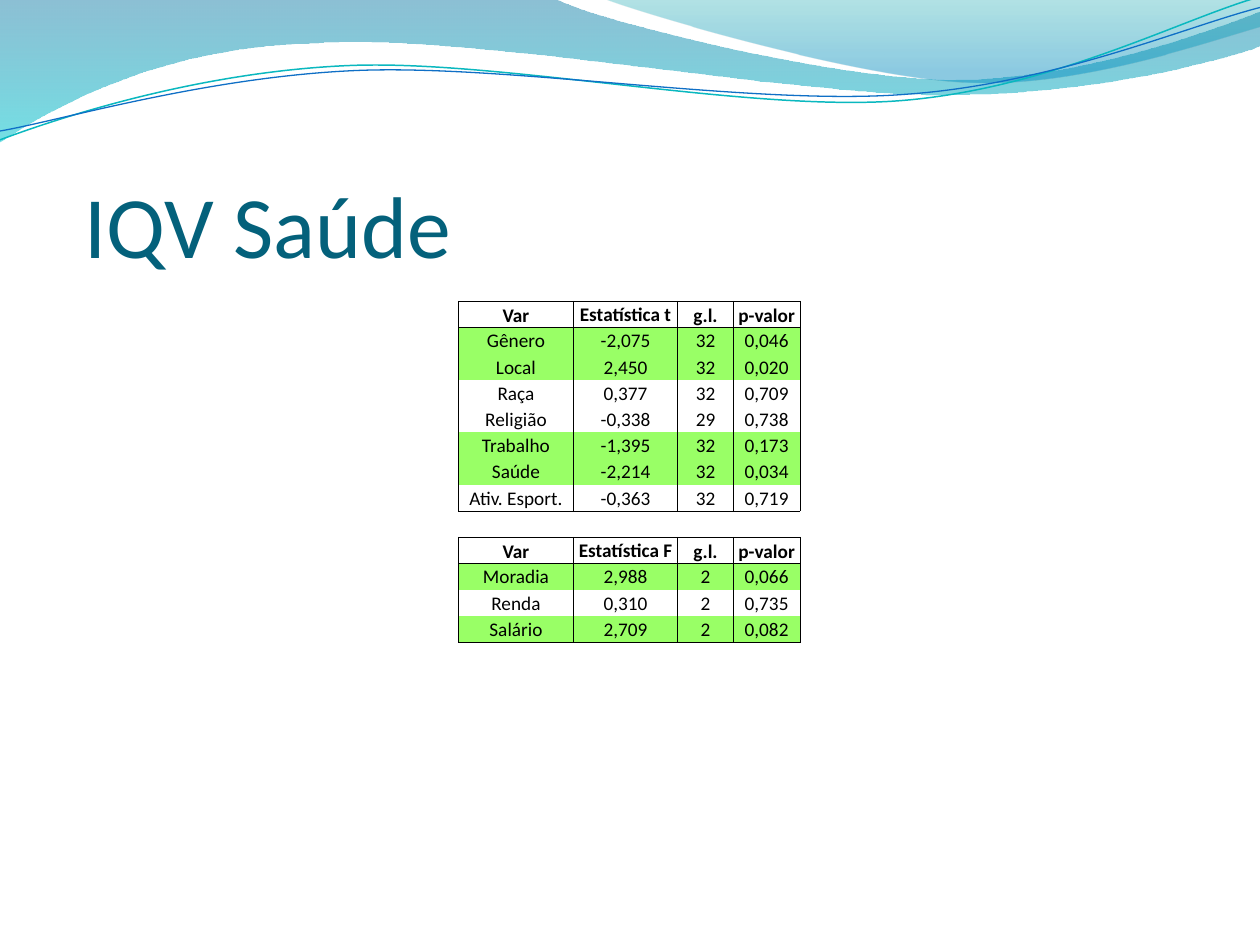
from dataclasses import dataclass
from math import cos, radians, sin

from lxml import etree
from pptx import Presentation
from pptx.dml.color import RGBColor
from pptx.enum.text import MSO_ANCHOR, PP_ALIGN
from pptx.oxml.ns import qn
from pptx.util import Inches, Pt

LEFT, CENTER = PP_ALIGN.LEFT, PP_ALIGN.CENTER
MIDDLE, BOTTOM = MSO_ANCHOR.MIDDLE, MSO_ANCHOR.BOTTOM


@dataclass(frozen=True)
class Theme:
    font: str = "Calibri"
    title: str = "04617B"
    ink: str = "000000"
    white: str = "FFFFFF"
    mark: str = "99FF66"
    teal: str = "0AB8BF"
    blue: str = "0F6FC6"
    title_size: float = 50
    cell_size: float = 11
    rule: float = 0.5


THEME = Theme()

# Outlines: a pair is a line end, six numbers are a cubic curve.
BAND = [(0, 0), (4.4, -0.01), (4.76, 0.17, 6.64, 0.63, 7.58, 0.63),
        (8.53, 0.63, 9.58, 0.26, 10, 0.09), (10.01, 0.36),
        (9.83, 0.44, 8.7, 0.76, 7.46, 0.75),
        (6.22, 0.75, 3.82, 0.28, 2.57, 0.34),
        (1.29, 0.36, 0.46, 0.83, -0.01, 1.13)]
CREST = [(4.79, -0.01), (5.09, 0.11, 6.82, 0.62, 7.69, 0.65),
         (8.56, 0.69, 9.61, 0.32, 10, 0.21), (10, 0)]
TEAL_WAVE = [(0, 1.11), (0.48, 0.93, 1.58, 0.57, 2.77, 0.52),
             (3.95, 0.47, 5.93, 0.89, 7.13, 0.8),
             (8.33, 0.71, 9.38, 0.15, 9.98, -0.02)]
BLUE_WAVE = [(0, 1.04), (0.47, 0.96, 1.64, 0.61, 2.83, 0.56),
             (4.03, 0.51, 5.97, 0.84, 7.17, 0.75),
             (8.36, 0.67, 9.41, 0.21, 10, 0.06)]
TILT = -2.7

COLS = [0.91, 0.83, 0.44, 0.53]
T_TEST = [("Var", "Estatística t", "g.l.", "p-valor"),
          ("Gênero", "-2,075", "32", "0,046"),
          ("Local", "2,450", "32", "0,020"),
          ("Raça", "0,377", "32", "0,709"),
          ("Religião", "-0,338", "29", "0,738"),
          ("Trabalho", "-1,395", "32", "0,173"),
          ("Saúde", "-2,214", "32", "0,034"),
          ("Ativ. Esport.", "-0,363", "32", "0,719")]
F_TEST = [("Var", "Estatística F", "g.l.", "p-valor"),
          ("Moradia", "2,988", "2", "0,066"),
          ("Renda", "0,310", "2", "0,735"),
          ("Salário", "2,709", "2", "0,082")]
MARKED = {"Gênero", "Local", "Trabalho", "Saúde", "Moradia", "Salário"}


def rgb(code):
    return RGBColor.from_string(code)


def pairs(part):
    return list(zip(part[::2], part[1::2]))


def turn(path, pivot, angle):
    """Rotate an outline clockwise about a pivot."""
    (px, py), a = pivot, radians(angle)
    return [sum(((px + (x - px) * cos(a) - (y - py) * sin(a),
                  py + (x - px) * sin(a) + (y - py) * cos(a))
                 for x, y in pairs(part)), ()) for part in path]


def add_free(slide, path, close):
    """Build an outline, joining each three curve points into one cubic."""
    points = [(Inches(x), Inches(y)) for part in path for x, y in pairs(part)]
    pen = slide.shapes.build_freeform(*points[0])
    pen.add_line_segments(points[1:], close=close)
    shape = pen.convert_to_shape()
    shape.shadow.inherit = False
    lines = iter(list(shape._element.iter(qn("a:lnTo"))))
    for part in path[1:]:
        line = next(lines)
        if len(part) == 6:
            line.addprevious(curve := etree.Element(qn("a:cubicBezTo")))
            for step in (line, next(lines), next(lines)):
                curve.append(step[0])
                step.getparent().remove(step)
    return shape


def add_band(slide, path, stops):
    """Draw a downward gradient; stops are (position, colour, opacity %)."""
    shape = add_free(slide, path, True)
    shape.line.fill.background()
    shape.fill.gradient()
    shape.fill.gradient_angle = 270
    for stop, (place, color, _) in zip(shape.fill.gradient_stops, stops):
        stop.position = place
        stop.color.rgb = rgb(color)
    tints = shape._element.spPr.iter(qn("a:srgbClr"))
    for tint, (_, _, alpha) in zip(tints, stops):
        etree.SubElement(tint, qn("a:alpha"), val=str(alpha * 1000))


def add_wave(slide, path, pivot, color, width):
    shape = add_free(slide, turn(path, pivot, -TILT), False)
    shape.rotation = TILT
    shape.fill.background()
    shape.line.color.rgb = rgb(color)
    shape.line.width = Pt(width)


def style(run, size, color, bold=False):
    font = run.font
    font.name, font.size, font.bold = THEME.font, Pt(size), bold
    font.color.rgb = rgb(color)


def set_title(slide, text):
    title = slide.shapes.title
    slide.shapes._spTree.append(title._element)
    title.left, title.top = Inches(0.67), Inches(0.94)
    title.width, title.height = Inches(9), Inches(1.25)
    frame = title.text_frame
    frame.text = text
    frame.vertical_anchor = BOTTOM
    frame.margin_left = frame.margin_right = frame.margin_bottom = 0
    frame.margin_top = Inches(0.05)
    para = frame.paragraphs[0]
    para.alignment = LEFT
    style(para.runs[0], THEME.title_size, THEME.title)


def set_edges(cell, sides):
    """Rule the named sides (of L, R, T, B) and clear the others."""
    props = cell._tc.get_or_add_tcPr()
    for side in "LRTB":
        line = etree.SubElement(props, qn(f"a:ln{side}"),
                                w=str(Pt(THEME.rule)))
        if side in sides:
            fill = etree.SubElement(line, qn("a:solidFill"))
            etree.SubElement(fill, qn("a:srgbClr"), val=THEME.ink)
        else:
            etree.SubElement(line, qn("a:noFill"))


def set_cell(cell, text, fill, edges, bold, anchor):
    set_edges(cell, edges)
    if fill:
        cell.fill.solid()
        cell.fill.fore_color.rgb = rgb(fill)
    else:
        cell.fill.background()
    cell.margin_left = cell.margin_right = cell.margin_top = Inches(0.01)
    cell.margin_bottom = 0
    cell.vertical_anchor = anchor
    para = cell.text_frame.paragraphs[0]
    para.alignment = CENTER
    if text:
        para.text = text
        style(para.runs[0], THEME.cell_size, THEME.ink, bold)
    else:
        para._p.get_or_add_endParaRPr().set("sz", str(THEME.cell_size * 100))


def fill_block(table, top, rows):
    """Write one test: a ruled header, then rows inside a frame."""
    last = len(rows) - 1
    for r, row in enumerate(rows):
        head = r == 0
        edges = "LR" + "T" * (r < 2) + "B" * (r in (0, last))
        for c, text in enumerate(row):
            fill = THEME.mark if row[0] in MARKED else THEME.white
            if (head and c == 1) or row[0] == "Ativ. Esport.":
                fill = None
            anchor = BOTTOM if head and c != 1 else MIDDLE
            set_cell(table.cell(top + r, c), text, fill, edges, head, anchor)


def add_tests(slide):
    gap = len(T_TEST)
    count = gap + 1 + len(F_TEST)
    table = slide.shapes.add_table(count, len(COLS), Inches(3.64), Inches(2.39),
                                   Inches(2.71), Inches(2.71)).table
    table.first_row = table.horz_banding = False
    for col, width in zip(table.columns, COLS):
        col.width = Inches(width)
    fill_block(table, 0, T_TEST)
    for c in range(len(COLS)):
        set_cell(table.cell(gap, c), "", None, "TB", False, MIDDLE)
    fill_block(table, gap + 1, F_TEST)


def main():
    deck = Presentation()
    deck.slide_width, deck.slide_height = Inches(10), Inches(7.5)
    slide = deck.slides.add_slide(deck.slide_layouts[5])
    add_band(slide, BAND, [(0, "0074A1", 45), (1, "00C6CF", 55)])
    add_band(slide, CREST, [(0, "00A1A9", 30), (0.8, "008BBF", 45)])
    add_wave(slide, TEAL_WAVE, (4.99, 0.58), THEME.teal, 0.85)
    add_wave(slide, BLUE_WAVE, (5, 0.59), THEME.blue, 0.75)
    set_title(slide, "IQV Saúde")
    add_tests(slide)
    deck.save("out.pptx")


if __name__ == "__main__":
    main()
